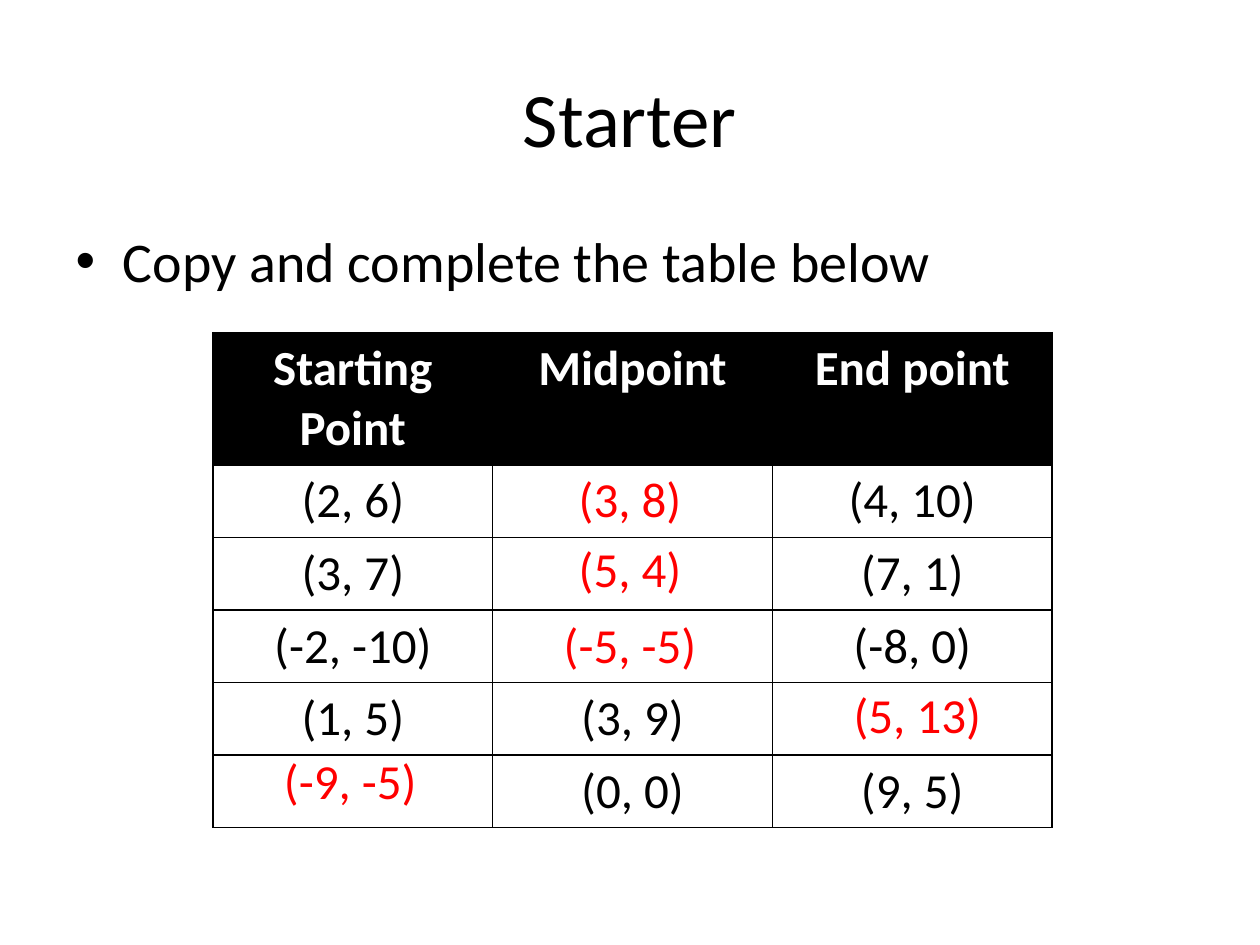
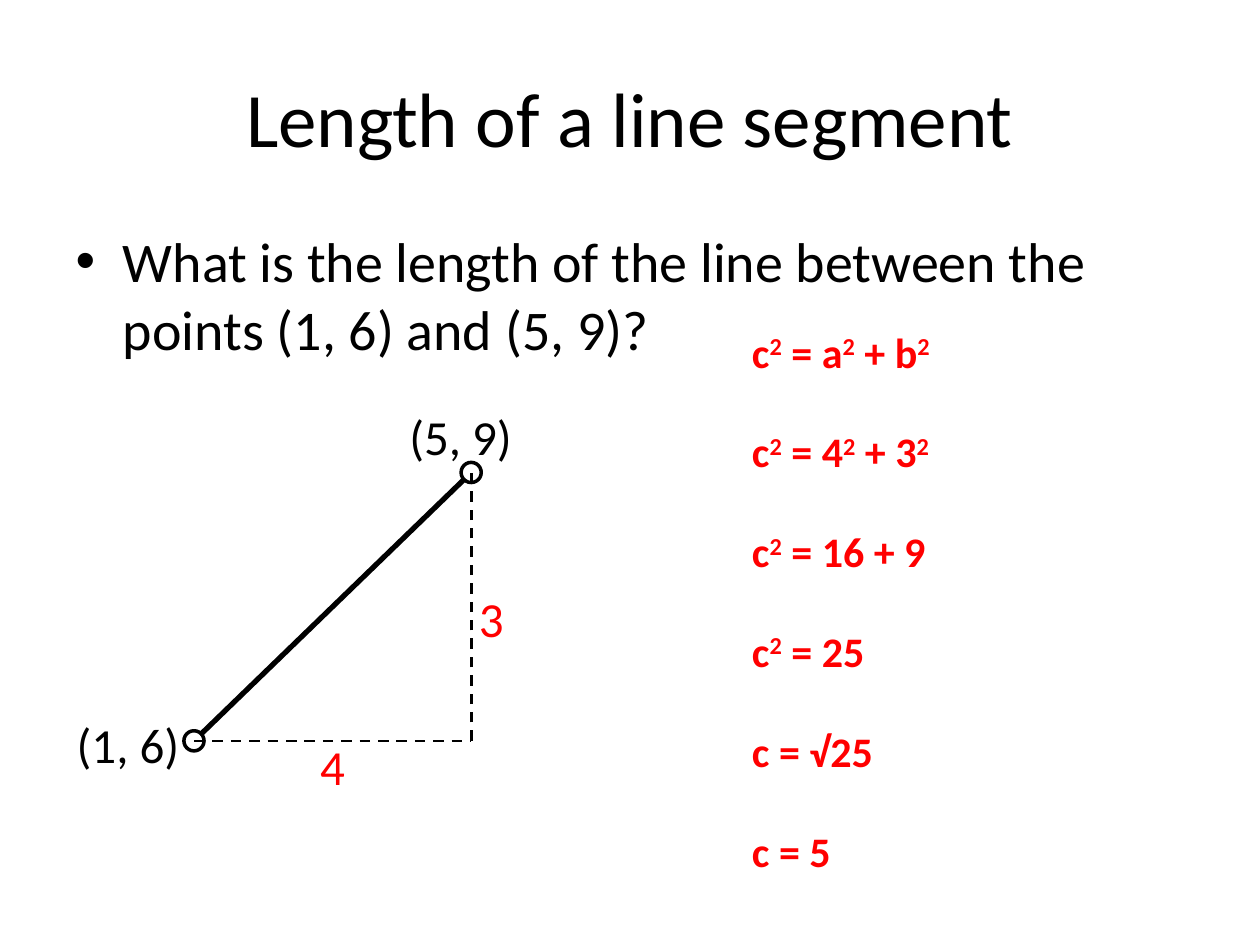
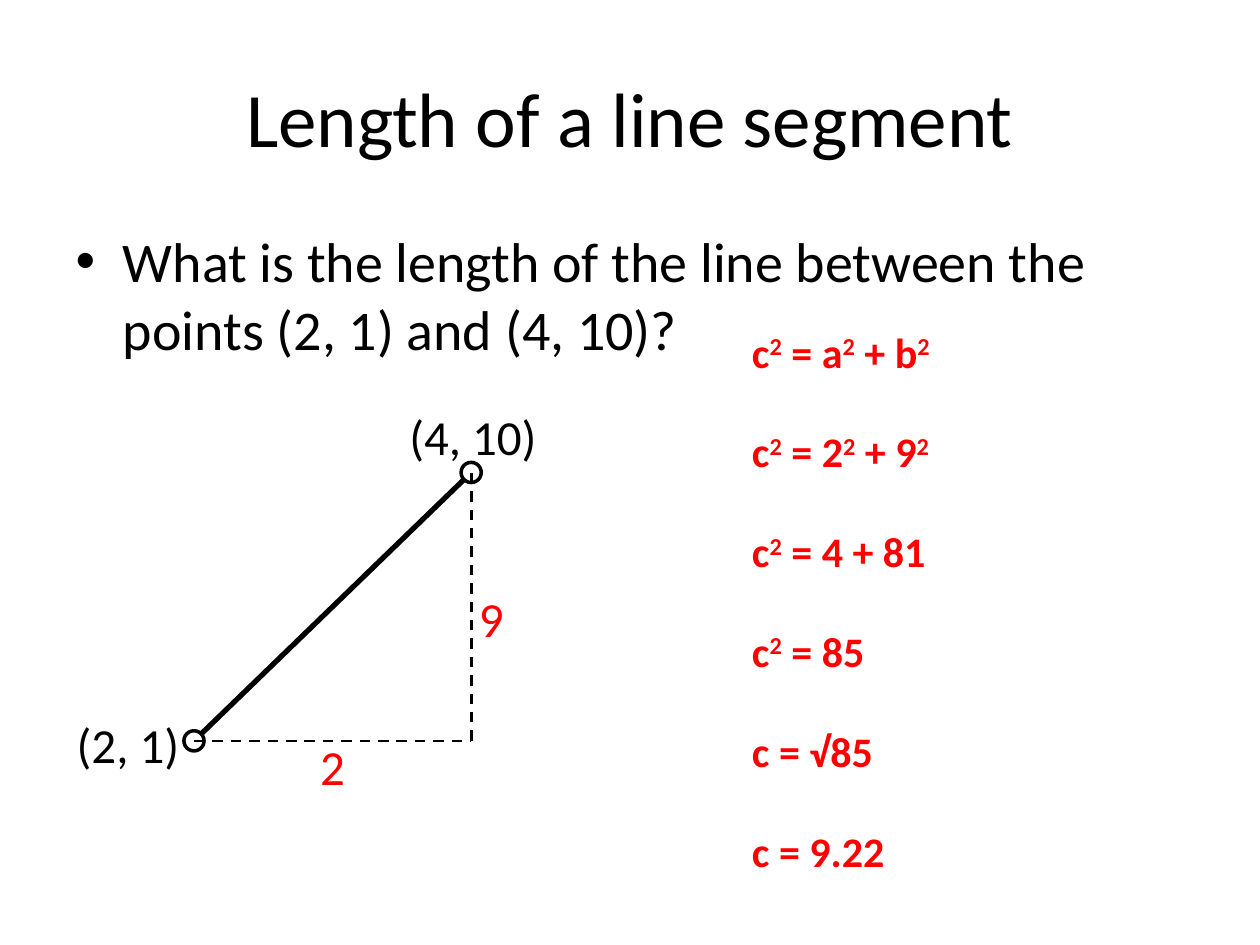
import lxml.etree
import pptx
import pptx.dml.color
import pptx.enum.dml
import pptx.enum.shapes
import pptx.enum.text
import pptx.oxml.ns
import pptx.util

# Shared look
COLOURS = {"ink": "000000", "paper": "FFFFFF", "answer": "FF0000"}
FONT = "Calibri"
TITLE_SIZE, BODY_SIZE, LABEL_SIZE, WORKING_SIZE = 44, 32, 28, 24
LEFT = pptx.enum.text.PP_ALIGN.LEFT
CENTRE = pptx.enum.text.PP_ALIGN.CENTER

# Slide grid: 10 columns by 7.5 rows of one inch
COLUMNS, ROWS = 10, 7.5
LABEL_HEIGHT = 0.57

# Table grid
TABLE_LEFT, TABLE_TOP = 1.69, 2.64
CELL_WIDTH, HEADER_HEIGHT, ROW_HEIGHT = 2.22, 1.05, 0.575
POINTS_TABLE = [
    ["Starting Point", "Midpoint", "End point"],
    ["(2, 6)", "", "(4, 10)"],
    ["(3, 7)", "", "(7, 1)"],
    ["(-2, -10)", "", "(-8, 0)"],
    ["(1, 5)", "(3, 9)", ""],
    ["", "(0, 0)", "(9, 5)"],
]
# Answer, table column, table row, shift right, shift down
ANSWERS = [
    ("(3, 8)", 1, 1, -0.01, -0.02),
    ("(5, 4)", 1, 2, -0.01, -0.04),
    ("(-5, -5)", 1, 3, -0.01, -0.01),
    ("(5, 13)", 2, 4, 0.05, -0.03),
    ("(-9, -5)", 0, 5, -0.01, -0.08),
]

# Corners of the right-angled triangle
START, CORNER, END = (1.54, 5.88), (3.74, 5.88), (3.74, 3.75)
MARKER = 0.16


def grid(*lengths):
    return [pptx.util.Inches(length) for length in lengths]


def colour(name):
    return pptx.dml.color.RGBColor.from_string(COLOURS[name])


def add_span(para, text, size, ink="ink", bold=False):
    span = para.add_run()
    span.text = text
    span.font.name = FONT
    span.font.size = pptx.util.Pt(size)
    span.font.bold = bold
    span.font.color.rgb = colour(ink)
    return span


def add_formula(para, text):
    """Write a line of working with each ² as a raised 2."""
    for index, part in enumerate(text.split("²")):
        if index:
            raised = add_span(para, "2", WORKING_SIZE, "answer", bold=True)
            raised.font._element.set("baseline", "30000")
        if part:
            add_span(para, part, WORKING_SIZE, "answer", bold=True)


def add_page(deck, title, body):
    page = deck.slides.add_slide(deck.slide_layouts[1])
    heading, content = page.placeholders
    for holder, text, size, place in (
        (heading, title, TITLE_SIZE, (0.5, 0.3, 9, 1.25)),
        (content, body, BODY_SIZE, (0.5, 1.75, 9, 4.95)),
    ):
        holder.left, holder.top, holder.width, holder.height = grid(*place)
        add_span(holder.text_frame.paragraphs[0], text, size)
    return page


def add_label(page, text, left, top, width, ink="ink", align=LEFT):
    box = page.shapes.add_textbox(*grid(left, top, width, LABEL_HEIGHT))
    box.text_frame.word_wrap = True
    para = box.text_frame.paragraphs[0]
    para.alignment = align
    add_span(para, text, LABEL_SIZE, ink)


def add_line(page, begin, end, weight, dashed=False):
    line = page.shapes.add_connector(
        pptx.enum.shapes.MSO_CONNECTOR.STRAIGHT, *grid(*begin, *end))
    line.line.color.rgb = colour("ink")
    line.line.width = pptx.util.Pt(weight)
    if dashed:
        line.line.dash_style = pptx.enum.dml.MSO_LINE.DASH
    lxml.etree.SubElement(line._element.spPr, pptx.oxml.ns.qn("a:effectLst"))


def add_panel(page, kind, left, top, width, height):
    panel = page.shapes.add_shape(kind, *grid(left, top, width, height))
    panel.shadow.inherit = False
    panel.fill.solid()
    panel.fill.fore_color.rgb = colour("paper")
    return panel


def add_marker(page, centre):
    column, row = centre
    marker = add_panel(page, pptx.enum.shapes.MSO_SHAPE.OVAL,
                       column - MARKER / 2, row - MARKER / 2, MARKER, MARKER)
    marker.line.color.rgb = colour("ink")
    marker.line.width = pptx.util.Pt(2)


def add_borders(cell):
    properties = cell._tc.get_or_add_tcPr()
    for index, side in enumerate(("lnL", "lnR", "lnT", "lnB")):
        border = lxml.etree.Element(
            pptx.oxml.ns.qn("a:" + side), w=str(pptx.util.Pt(1)))
        fill = lxml.etree.SubElement(border, pptx.oxml.ns.qn("a:solidFill"))
        lxml.etree.SubElement(
            fill, pptx.oxml.ns.qn("a:srgbClr"), val=COLOURS["ink"])
        properties.insert(index, border)


def add_points_table(page):
    count = len(POINTS_TABLE[0])
    height = HEADER_HEIGHT + ROW_HEIGHT * (len(POINTS_TABLE) - 1)
    table = page.shapes.add_table(
        len(POINTS_TABLE), count,
        *grid(TABLE_LEFT, TABLE_TOP, CELL_WIDTH * count, height)).table
    table.horz_banding = False
    for row, texts in enumerate(POINTS_TABLE):
        header = row == 0
        table.rows[row].height = pptx.util.Inches(
            HEADER_HEIGHT if header else ROW_HEIGHT)
        for column, text in enumerate(texts):
            cell = table.cell(row, column)
            cell.fill.solid()
            cell.fill.fore_color.rgb = colour("ink" if header else "paper")
            add_borders(cell)
            para = cell.text_frame.paragraphs[0]
            para.alignment = CENTRE
            if text:
                add_span(para, text, LABEL_SIZE,
                         "paper" if header else "ink", bold=header)


def add_answers(page):
    for text, column, row, right, down in ANSWERS:
        left = TABLE_LEFT + column * CELL_WIDTH + right
        top = TABLE_TOP + HEADER_HEIGHT + (row - 1) * ROW_HEIGHT + down
        add_label(page, text, left, top, 2.2, "answer", CENTRE)


def add_triangle(page, start, end, across, up):
    add_line(page, START, END, 3)
    add_marker(page, END)
    add_marker(page, START)
    add_label(page, start, 0.51, 5.62, 1.18)
    add_label(page, end, 3.15, 3.18, 1.46)
    add_line(page, START, CORNER, 1.5, dashed=True)
    add_line(page, CORNER, END, 1.5, dashed=True)
    add_label(page, across, 2.09, 5.8, 1.1, "answer", CENTRE)
    add_label(page, up, 3.35, 4.62, 1.1, "answer", CENTRE)


def add_working(page, formulas):
    panel = add_panel(page, pptx.enum.shapes.MSO_SHAPE.RECTANGLE,
                      5.87, 2.54, 3.6, 4.54)
    panel.line.fill.background()
    frame = panel.text_frame
    frame.word_wrap = True
    frame.vertical_anchor = pptx.enum.text.MSO_ANCHOR.TOP
    for index, formula in enumerate(formulas):
        para = frame.add_paragraph() if index else frame.paragraphs[0]
        para.alignment = LEFT
        para.space_before = pptx.util.Pt(28.2 if index else 0)
        add_formula(para, formula)


def add_length_page(deck, start, end, across, up, squares, total, length):
    page = add_page(
        deck, "Length of a line segment",
        f"What is the length of the line between the points {start} and {end}?")
    add_triangle(page, start, end, across, up)
    add_working(page, [
        "c² = a² + b²",
        f"c² = {across}² + {up}²",
        f"c² = {squares}",
        f"c² = {total}",
        f"c = √{total}",
        f"c = {length}",
    ])


def main():
    deck = pptx.Presentation()
    deck.slide_width, deck.slide_height = grid(COLUMNS, ROWS)

    # Starter
    starter = add_page(deck, "Starter", "Copy and complete the table below")
    add_points_table(starter)
    add_answers(starter)

    # Worked examples
    add_length_page(deck, "(1, 6)", "(5, 9)", "4", "3", "16 + 9", "25", "5")
    add_length_page(deck, "(2, 1)", "(4, 10)", "2", "9", "4 + 81", "85", "9.22")

    deck.save("out.pptx")


if __name__ == "__main__":
    main()
